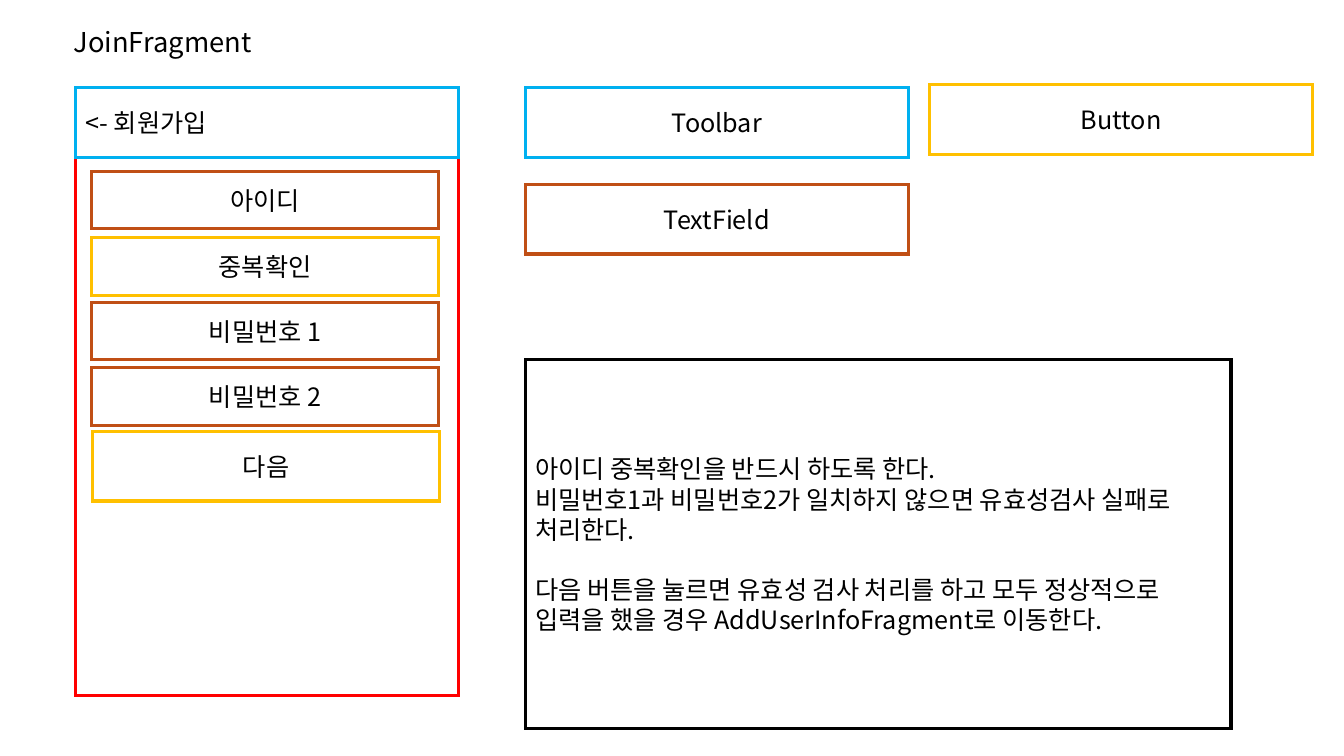
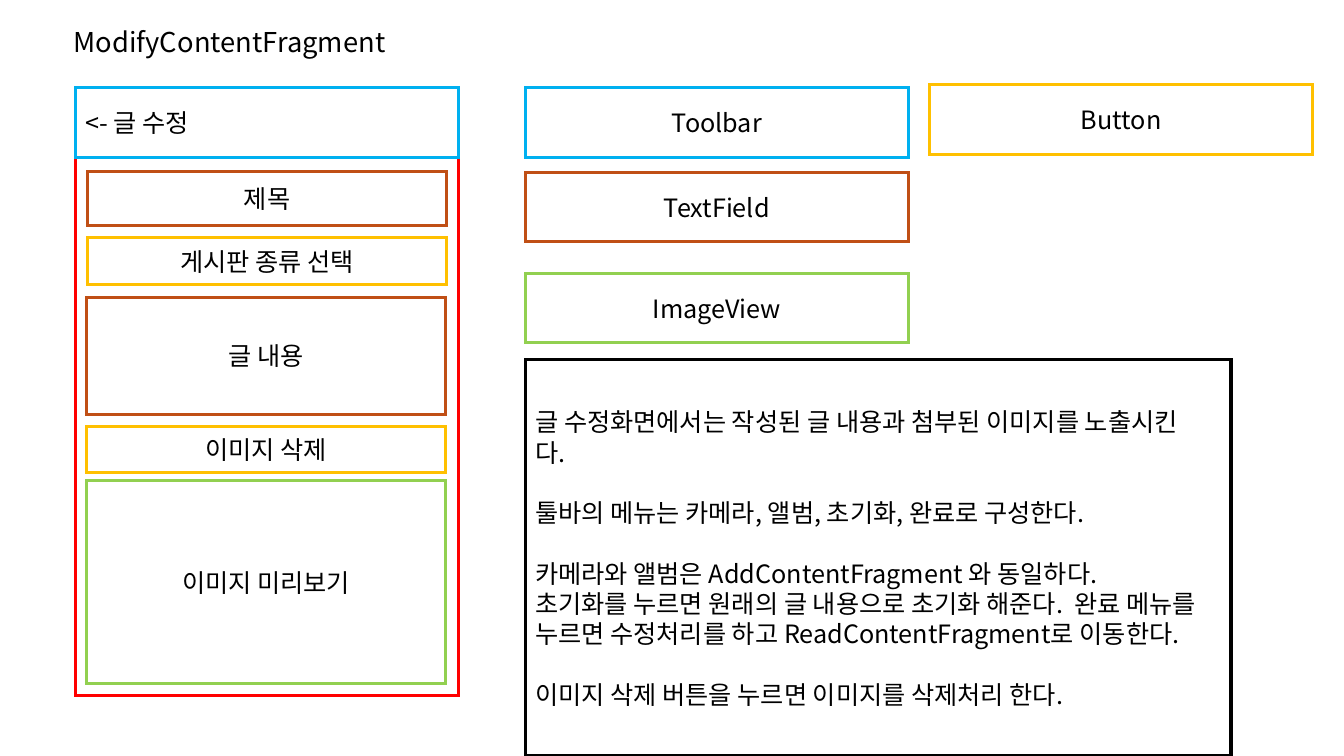
from pptx import Presentation
from pptx.dml.color import RGBColor
from pptx.enum.shapes import MSO_SHAPE
from pptx.enum.text import MSO_ANCHOR, MSO_AUTO_SIZE, PP_ALIGN
from pptx.oxml.ns import qn
from pptx.util import Pt
from lxml.etree import SubElement

PX = 9144  # EMU in one px, 100 px to the inch
FONT = "Noto Sans CJK KR"
LINE_PITCH = Pt(21.6)

BLACK = RGBColor(0x00, 0x00, 0x00)
RED = RGBColor(0xFF, 0x00, 0x00)
BLUE = RGBColor(0x00, 0xB0, 0xF0)
BROWN = RGBColor(0xC0, 0x4F, 0x15)
YELLOW = RGBColor(0xFF, 0xC0, 0x00)
GREEN = RGBColor(0x92, 0xD0, 0x50)

# Outline colour of each kind of widget
WIDGET_COLORS = {"Toolbar": BLUE, "TextField": BROWN, "Button": YELLOW, "ImageView": GREEN}

SCREENS = [
    {
        "title": "JoinFragment",
        "toolbar": "<- 회원가입",
        "legend": [("Toolbar", 521, 87), ("TextField", 521, 183), ("Button", 922, 84)],
        # kind, label, left, top, height
        "widget_width": 344,
        "widgets": [
            ("TextField", "아이디", 91, 170, 57),
            ("Button", "중복확인", 91, 236, 57),
            ("TextField", "비밀번호 1", 91, 300, 57),
            ("TextField", "비밀번호 2", 91, 365, 57),
            ("Button", "다음", 92, 428, 69),
        ],
        "notes_height": 366,
        # text, whether a gap precedes it
        "notes": [
            ("아이디 중복확인을 반드시 하도록 한다.", False),
            ("비밀번호1과 비밀번호2가 일치하지 않으면 유효성검사 실패로 처리한다.", False),
            ("다음 버튼을 눌르면 유효성 검사 처리를 하고 모두 정상적으로 입력을 했을 경우 "
             "AddUserInfoFragment로 이동한다.", True),
        ],
    },
    {
        "title": "ModifyContentFragment",
        "toolbar": "<- 글 수정",
        "legend": [("Toolbar", 521, 87), ("TextField", 521, 171),
                   ("Button", 922, 84), ("ImageView", 521, 271)],
        "widget_width": 356,
        "widgets": [
            ("TextField", "제목", 87, 170, 54),
            ("Button", "게시판 종류 선택", 87, 236, 46),
            ("TextField", "글 내용", 86, 295, 116),
            ("Button", "이미지 삭제", 86, 423, 46),
            ("ImageView", "이미지 미리보기", 86, 477, 201),
        ],
        "notes_height": 393,
        "notes": [
            ("글 수정화면에서는 작성된 글 내용과 첨부된 이미지를 노출시킨\n다.", False),
            ("툴바의 메뉴는 카메라, 앨범, 초기화, 완료로 구성한다.", True),
            ("카메라와 앨범은 AddContentFragment 와 동일하다.\n초기화를 누르면 원래의 글 내용으로 "
             "초기화 해준다.  완료 메뉴를 누르면 수정처리를 하고 ReadContentFragment로 이동한다.", True),
            ("이미지 삭제 버튼을 누르면 이미지를 삭제처리 한다.", True),
        ],
    },
]


def write(paragraph, text, size=18, **paragraph_format):
    """Fill a paragraph with formatted text, one run per forced line."""
    for name, value in paragraph_format.items():
        setattr(paragraph, name, value)
    for index, line in enumerate(text.split("\n")):
        if index:
            paragraph.add_line_break()
        run = paragraph.add_run()
        run.text = line
        for name, value in {"name": FONT, "size": Pt(size), "bold": False}.items():
            setattr(run.font, name, value)
        run.font.color.rgb = BLACK
        run.font._element.set("kern", "1200")


def add_box(slide, left, top, width, height, color, text="", alignment=PP_ALIGN.CENTER):
    """Draw an outlined rectangle with optional text."""
    shape = slide.shapes.add_shape(
        MSO_SHAPE.RECTANGLE, *(length * PX for length in (left, top, width, height)))
    shape.shadow.inherit = False
    shape.fill.background()
    shape.line.color.rgb = color
    shape.line.width = Pt(2.25)
    SubElement(shape.line._get_or_add_ln(), qn("a:miter"), lim="800000")
    shape.text_frame.word_wrap = True
    shape.text_frame.vertical_anchor = MSO_ANCHOR.MIDDLE
    if text:
        write(shape.text_frame.paragraphs[0], text, alignment=alignment)
    return shape


presentation = Presentation()
presentation.slide_width = 1333 * PX
presentation.slide_height = 750 * PX
title_only = presentation.slide_layouts[5]

for screen in SCREENS:
    slide = presentation.slides.add_slide(title_only)

    # Title
    title = slide.shapes.title
    for name, length in {"left": 63, "top": 27, "width": 831, "height": 35}.items():
        setattr(title, name, length * PX)
    title.text_frame.auto_size = MSO_AUTO_SIZE.NONE
    title.text_frame.vertical_anchor = MSO_ANCHOR.BOTTOM
    write(title.text_frame.paragraphs[0], screen["title"], 19.5,
          alignment=PP_ALIGN.LEFT, line_spacing=0.7)

    # Phone screen with its toolbar and widgets
    add_box(slide, 75, 87, 380, 603, RED)
    add_box(slide, 75, 87, 380, 69, BLUE, screen["toolbar"], PP_ALIGN.LEFT)
    for kind, label, left, top, height in screen["widgets"]:
        add_box(slide, left, top, screen["widget_width"], height, WIDGET_COLORS[kind], label)

    # Legend of widget kinds
    for kind, left, top in screen["legend"]:
        add_box(slide, left, top, 380, 69, WIDGET_COLORS[kind], kind)

    # Notes
    text_frame = add_box(slide, 521, 357, 700, screen["notes_height"], BLACK).text_frame
    for index, (text, has_gap) in enumerate(screen["notes"]):
        paragraph = text_frame.add_paragraph() if index else text_frame.paragraphs[0]
        write(paragraph, text, alignment=PP_ALIGN.LEFT, line_spacing=LINE_PITCH,
              space_before=LINE_PITCH if has_gap else Pt(0))

presentation.save("out.pptx")
